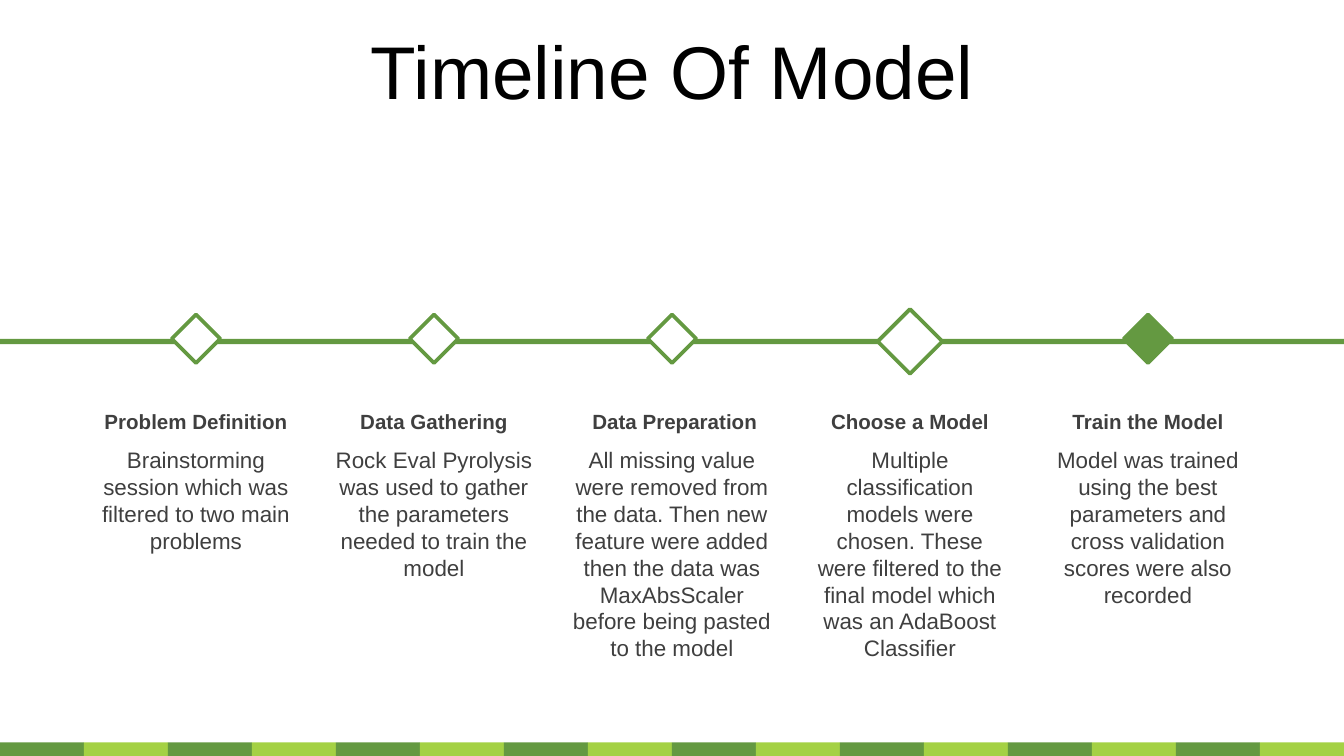
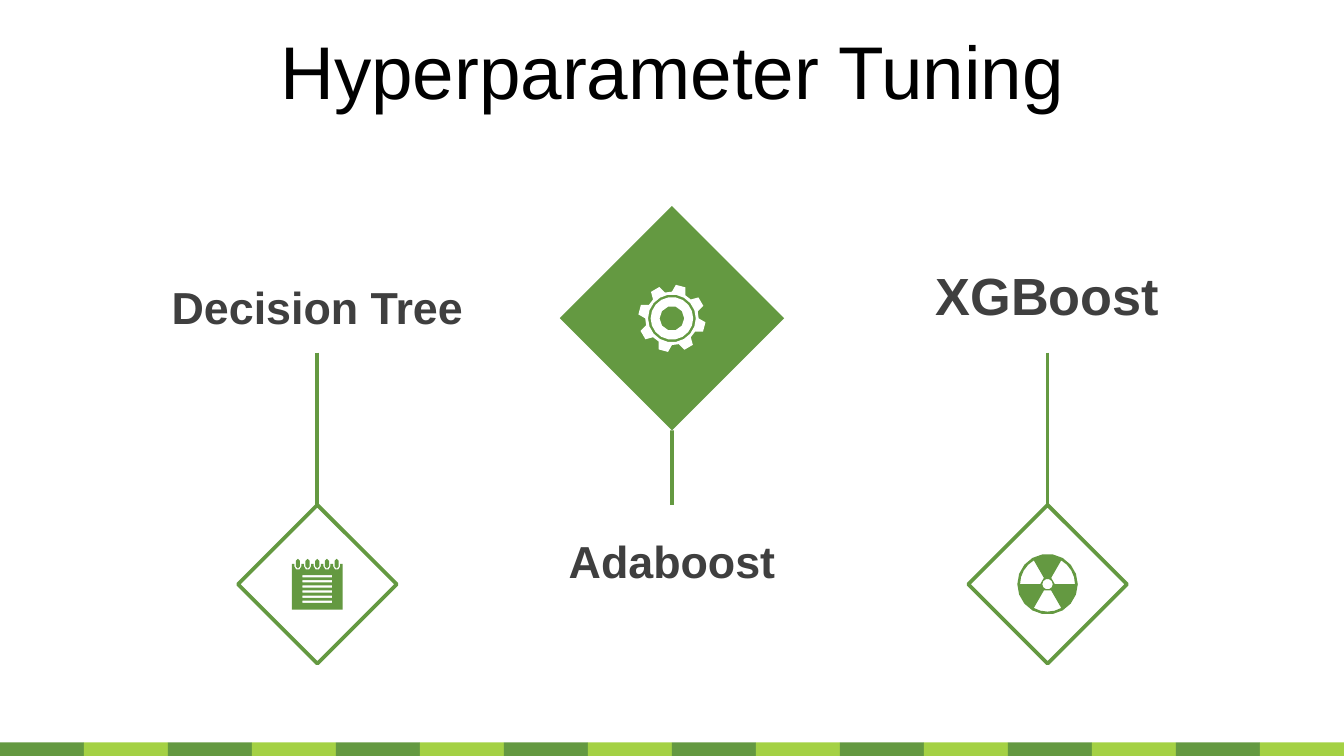
import math
from dataclasses import dataclass

import lxml.etree
import pptx
import pptx.dml.color
import pptx.enum.shapes
import pptx.enum.text
import pptx.oxml.ns
import pptx.shapes.autoshape
import pptx.slide
import pptx.util

Pt = pptx.util.Pt
KIND = pptx.enum.shapes.MSO_SHAPE
Shape = pptx.shapes.autoshape.Shape
Slide = pptx.slide.Slide
Point = tuple[float, float]
Path = list[Point]

# Shared look
WIDE, HIGH = 720, 405
FONT = "Arial"
GREEN, LIME, WHITE, BLACK, GREY = "649941", "A4D144", "FFFFFF", "000000", "3F3F3F"
LINE = 2
TILES = 16
BAND_TOP = 397.7


@dataclass
class Step:
    head: str
    body: str
    fill: str = WHITE
    size: float = 26
    mid_y: float = 181.5
    shift: float = 0  # nudge of the heading to the right


@dataclass
class Node:
    label: str
    mid_x: float
    top: float  # top of the diamond
    size: float
    fill: str
    text_top: float
    text_size: float
    line_end: float  # end of the line near the label
    site: int  # corner of the diamond the line joins


STEPS = [
    Step("Problem Definition",
         "Brainstorming session which was filtered to two main problems"),
    Step("Data Gathering",
         "Rock Eval Pyrolysis was used to gather the parameters needed to "
         "train the model"),
    Step("Data Preparation",
         "All missing value were removed from the data. Then new feature were "
         "added then the data was MaxAbsScaler before being pasted to the model",
         shift=1.5),
    Step("Choose a Model",
         "Multiple classification models were chosen. These were filtered to "
         "the final model which was an AdaBoost Classifier",
         size=34.6, mid_y=182.9),
    Step("Train the Model",
         "Model was trained using the best parameters and cross validation "
         "scores were also recorded", fill=GREEN),
]

NODES = [
    Node("Adaboost", 360, 110.4, 120.2, GREEN, 282.2, 24, 270.5, 2),
    Node("Decision Tree", 170, 270.5, 85, WHITE, 146.2, 24, 188.9, 0),
    Node("XGBoost", 561.2, 270.5, 85, WHITE, 137.5, 28, 188.9, 0),
]


def color(code: str) -> pptx.dml.color.RGBColor:
    return pptx.dml.color.RGBColor.from_string(code)


def paint(shape: Shape, fill: str, line: bool = False) -> None:
    shape.shadow.inherit = False
    shape.fill.solid()
    shape.fill.fore_color.rgb = color(fill)
    if not line:
        shape.line.fill.background()
        return
    shape.line.color.rgb = color(GREEN)
    shape.line.width = Pt(LINE)
    edge = shape.line._get_or_add_ln()
    lxml.etree.SubElement(edge, pptx.oxml.ns.qn("a:round"))


def box(slide: Slide, kind: KIND, x: float, y: float, w: float, h: float,
        fill: str, line: bool = False) -> Shape:
    shape = slide.shapes.add_shape(kind, Pt(x), Pt(y), Pt(w), Pt(h))
    paint(shape, fill, line)
    return shape


def write(slide: Slide, text: str, mid_x: float, y: float, w: float, h: float,
          size: float, bold: bool = False, ink: str = GREY) -> Shape:
    """Add centred text around mid_x."""
    shape = slide.shapes.add_textbox(Pt(mid_x - w / 2), Pt(y), Pt(w), Pt(h))
    frame = shape.text_frame
    frame.word_wrap = True
    frame.text = text
    para = frame.paragraphs[0]
    para.alignment = pptx.enum.text.PP_ALIGN.CENTER
    font = para.runs[0].font
    font.name, font.size, font.bold = FONT, Pt(size), bold
    font.color.rgb = color(ink)
    return shape


def link(slide: Slide, node: Node, mark: Shape) -> None:
    x, y = Pt(node.mid_x), Pt(node.line_end)
    line = slide.shapes.add_connector(
        pptx.enum.shapes.MSO_CONNECTOR.STRAIGHT, x, y, x, y)
    line.end_connect(mark, node.site)
    line.line.color.rgb = color(GREEN)
    line.line.width = Pt(LINE)
    props = line._element.spPr
    lxml.etree.SubElement(props, pptx.oxml.ns.qn("a:effectLst"))


# Outlines for the icons
def polar(x: float, y: float, r: float, turn: float) -> Point:
    angle = math.radians(turn)
    return x + r * math.cos(angle), y + r * math.sin(angle)


def arc(x: float, y: float, r: float, start: float, end: float,
        parts: int) -> Path:
    return [polar(x, y, r, start + (end - start) * i / parts)
            for i in range(parts + 1)]


def ring(x: float, y: float, r: float, hole: bool = False) -> Path:
    parts = 18 if r > 8 else 10
    dots = arc(x, y, r, 0, 360, parts)[:-1]
    return dots[::-1] if hole else dots


def draw(slide: Slide, paths: list[Path], fill: str) -> None:
    points = [[(Pt(x), Pt(y)) for x, y in path] for path in paths]
    first = points[0]
    pen = slide.shapes.build_freeform(*first[0], scale=1.0)
    pen.add_line_segments(first[1:], close=True)
    for path in points[1:]:
        pen.move_to(*path[0])
        pen.add_line_segments(path[1:], close=True)
    paint(pen.convert_to_shape(), fill)


def gear(slide: Slide, x: float, y: float) -> None:
    rim: Path = []
    for i in range(8):
        mid = -75 + 45 * i
        rim += [polar(x, y, r, mid + turn) for r, turn in
                ((14.3, -15), (18.1, -8.3), (18.1, 8.3), (14.3, 15))]
    draw(slide, [rim, ring(x, y, 12.8, True), ring(x, y, 11.4),
                 ring(x, y, 6.6, True)], WHITE)


def atom(slide: Slide, x: float, y: float) -> None:
    gaps = [arc(x, y, 3.9, turn, turn + 60, 1)
            + arc(x, y, 14.7, turn + 60, turn, 4)
            for turn in (-60, 60, 180)]
    draw(slide, [ring(x, y, 16.2), *gaps, ring(x, y, 2.8, True)], GREEN)


def pad(slide: Slide, x: float) -> None:
    left, right, top, base = x - 13.6, x + 13.6, 302.2, 326.6
    coils = [x + 5.2 * i for i in range(-2, 3)]
    sheet: Path = [(left, top)]
    for coil in coils:
        sheet += [(coil - 1.9, top), *arc(coil, 303.4, 1.9, 180, 0, 3),
                  (coil + 1.9, top)]
    sheet += [(right, top), (right, base), (left, base)]
    bars = [arc(coil, 300.5, 1.1, 180, 360, 2) + arc(coil, 303.5, 1.1, 0, 180, 2)
            for coil in coils]
    rows = [308.7 + 2.75 * i for i in range(6)]
    slits = [[(x - 8, row - 0.6), (x - 8, row + 0.6),
              (x + 8, row + 0.6), (x + 8, row - 0.6)] for row in rows]
    draw(slide, [sheet, *slits, *bars], GREEN)


def start(deck: pptx.presentation.Presentation, title: str) -> Slide:
    """Add a slide with the footer band and its title."""
    slide = deck.slides.add_slide(deck.slide_layouts[6])
    step = WIDE / TILES
    for i in range(TILES):
        box(slide, KIND.RECTANGLE, i * step, BAND_TOP, step, HIGH - BAND_TOP,
            LIME if i % 2 else GREEN)
    frame = write(slide, title, WIDE / 2, 16.6, WIDE, 41, 40,
                  ink=BLACK).text_frame
    frame.vertical_anchor = pptx.enum.text.MSO_ANCHOR.MIDDLE
    frame.margin_top = frame.margin_bottom = Pt(7.2)
    return slide


def model(deck: pptx.presentation.Presentation) -> None:
    slide = start(deck, "Timeline Of Model")
    box(slide, KIND.RECTANGLE, 0, 181.6, WIDE, 2.9, GREEN)
    for i, step in enumerate(STEPS):
        x, half = 105 + 127.5 * i, step.size / 2
        box(slide, KIND.DIAMOND, x - half, step.mid_y - half, step.size,
            step.size, step.fill, True)
        write(slide, step.body, x, 235.6, 121.7, 127.4, 12)
        write(slide, step.head, x + step.shift, 215.7, 123, 21.6, 11, True)


def tuning(deck: pptx.presentation.Presentation) -> None:
    slide = start(deck, "Hyperparameter Tuning")
    for node in NODES:
        mark = box(slide, KIND.DIAMOND, node.mid_x - node.size / 2, node.top,
                   node.size, node.size, node.fill, node.fill == WHITE)
        link(slide, node, mark)
        write(slide, node.label, node.mid_x, node.text_top, 210,
              node.text_size + 8, node.text_size, True)
    gear(slide, 360, 170.6)
    pad(slide, 170)
    atom(slide, 561.2, 313)


def main() -> None:
    deck = pptx.Presentation()
    deck.slide_width, deck.slide_height = Pt(WIDE), Pt(HIGH)
    model(deck)
    tuning(deck)
    deck.save("out.pptx")


if __name__ == "__main__":
    main()
